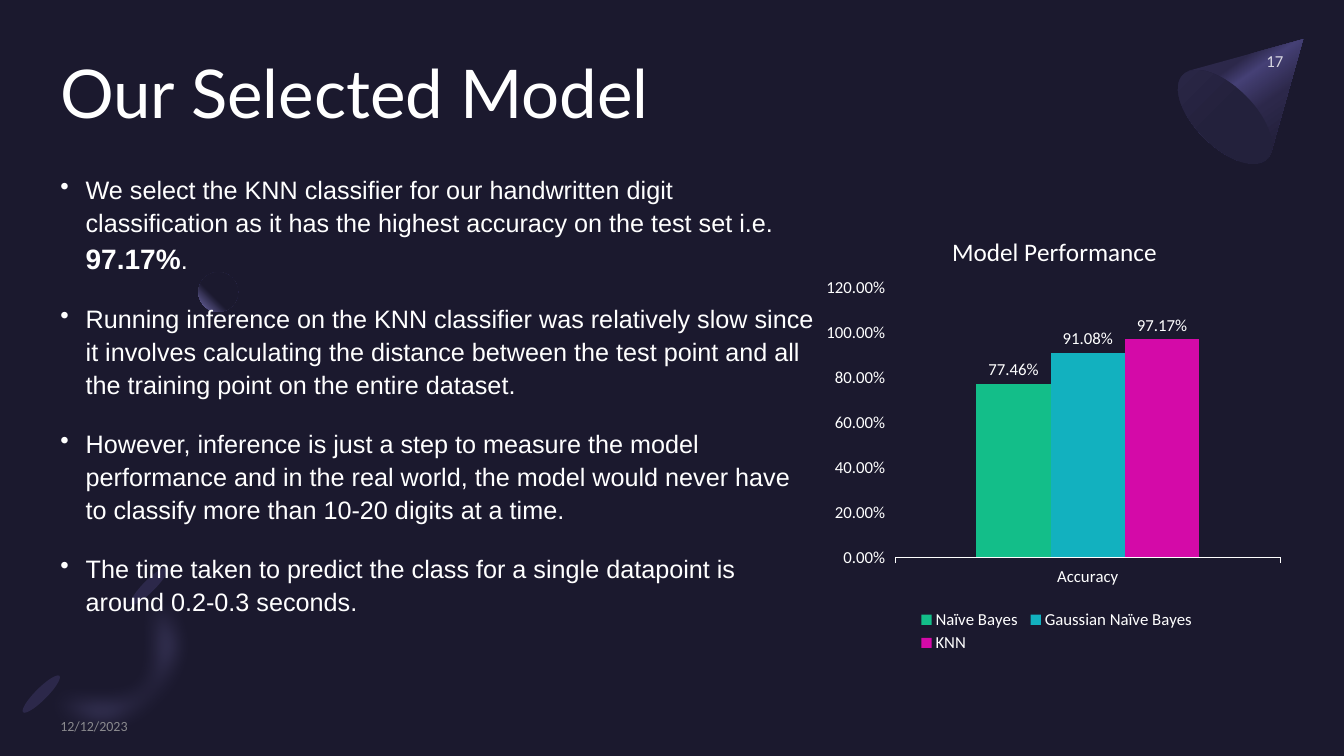
from dataclasses import dataclass

from pptx import Presentation
from pptx import util as u
from pptx.chart.data import CategoryChartData
from pptx.dml.color import RGBColor
from pptx.enum import chart as charts, shapes, text
from pptx.oxml import parse_xml
from pptx.oxml.ns import nsdecls, qn

COLORS = {
    "night": "1B192E", "dusk": "23213C", "plum": "2C284A", "violet": "454075",
    "lavender": "7771B2", "white": "FFFFFF", "grey": "A6A6A6",
    "green": "13BE89", "teal": "12B1BF", "magenta": "D40AA8",
}


@dataclass
class Gradient:
    stops: list[tuple[int, str]]
    shade: str


@dataclass
class Ellipse:
    left: float
    top: float
    width: float
    height: float
    rotation: float
    paint: str | Gradient


@dataclass
class Outline:
    """Points in hundredths of a cm; a segment is one end point or a Bézier's three."""
    start: tuple[int, int]
    segments: list[tuple[tuple[int, int], ...]]
    paint: str | Gradient


@dataclass
class Label:
    words: str
    left: float
    top: float
    width: float
    height: float
    font: str
    size: int
    color: str
    anchor: text.MSO_ANCHOR = text.MSO_ANCHOR.MIDDLE
    align: text.PP_ALIGN = text.PP_ALIGN.LEFT
    opacity: int = 100
    line_spacing: float = 1.0


@dataclass
class Model:
    name: str
    accuracy: float
    color: str


def linear(angle: int) -> str:
    return f'<a:lin ang="{angle * 60000}" scaled="0"/>'


FROM_TOP_RIGHT = '<a:path path="circle"><a:fillToRect l="100000" b="100000"/></a:path>'

RING = Outline((424, 1796), [
    ((526, 1694), (511, 1516), (391, 1400)), ((302, 1491),),
    ((361, 1549), (368, 1638), (318, 1689)),
    ((267, 1740), (178, 1732), (119, 1671)), ((28, 1763),),
    ((147, 1882), (325, 1897), (424, 1796)),
], "lavender")
STREAKS = [Ellipse(3.61, 14.12, 0.3, 1.3, 45, "plum"),
           Ellipse(0.89, 16.84, 0.3, 1.3, 45, "plum")]
CONE = Outline((3284, 99), [
    ((3203, 386),), ((3200, 391), (3198, 396), (3195, 399)),
    ((3165, 429), (3094, 406), (3035, 348)),
    ((2977, 290), (2954, 218), (2982, 188)), ((2997, 178),),
], Gradient([(30, "plum"), (40, "violet"), (60, "plum"), (100, "night")], linear(55)))
CONE_BASE = Ellipse(30.12, 1.45, 1.5, 3, 135,
                    Gradient([(50, "dusk"), (100, "plum")], linear(90)))
SPHERE = Ellipse(5, 6.86, 1, 1, 0,
                 Gradient([(60, "night"), (100, "lavender")], FROM_TOP_RIGHT))

TITLE = Label("Our Selected Model", 1.52, 1.52, 30.84, 3.71, "Lato", 48, "white",
              anchor=text.MSO_ANCHOR.TOP, line_spacing=0.9)
PAGE_NUMBER = Label("17", 27.64, 1.32, 4.7, 0.43, "Calibri", 12, "white",
                    align=text.PP_ALIGN.RIGHT, opacity=80)
DATE = Label("12/12/2023", 1.52, 18.08, 7.32, 0.43, "Calibri", 10, "grey", opacity=80)

HIGHLIGHT = "97.17%"
REASONS = [
    ["We select the KNN classifier for our handwritten digit classification as it has "
     "the highest accuracy on the test set i.e. ", HIGHLIGHT, "."],
    ["Running inference on the KNN classifier was relatively slow since it involves "
     "calculating the distance between the test point and all the training point on "
     "the entire dataset."],
    ["However, inference is just a step to measure the model performance and in the "
     "real world, the model would never have to classify more than 10-20 digits at a "
     "time."],
    ["The time taken to predict the class for a single datapoint is around 0.2-0.3 "
     "seconds."],
]
MODELS = [Model("Naïve Bayes", 0.7746, "green"),
          Model("Gaussian Naïve Bayes", 0.9108, "teal"),
          Model("KNN", 0.9717, "magenta")]


def rgb(name: str) -> RGBColor:
    return RGBColor.from_string(COLORS[name])


def set_opacity(element, percent: int) -> None:
    color = element.find(".//" + qn("a:srgbClr"))
    color.append(parse_xml(f'<a:alpha {nsdecls("a")} val="{percent * 1000}"/>'))


def paint_shape(shape, paint: str | Gradient) -> None:
    shape.shadow.inherit = False
    shape.line.fill.background()
    shape.fill.solid()
    if isinstance(paint, str):
        shape.fill.fore_color.rgb = rgb(paint)
        return
    stops = "".join(f'<a:gs pos="{pos * 1000}"><a:srgbClr val="{COLORS[color]}"/></a:gs>'
                    for pos, color in paint.stops)
    properties = shape._element.spPr
    properties.replace(properties.find(qn("a:solidFill")), parse_xml(
        f'<a:gradFill {nsdecls("a")} rotWithShape="1"><a:gsLst>{stops}</a:gsLst>'
        f"{paint.shade}</a:gradFill>"))


def add_ellipse(slide, ellipse: Ellipse) -> None:
    shape = slide.shapes.add_shape(
        shapes.MSO_SHAPE.OVAL, u.Cm(ellipse.left), u.Cm(ellipse.top),
        u.Cm(ellipse.width), u.Cm(ellipse.height))
    shape.rotation = ellipse.rotation
    paint_shape(shape, ellipse.paint)


def bezier(p0, p1, p2, p3, steps: int = 16) -> list[tuple[float, ...]]:
    return [tuple((1 - t)**3 * a + 3 * (1 - t)**2 * t * b + 3 * (1 - t) * t**2 * c + t**3 * d
                  for a, b, c, d in zip(p0, p1, p2, p3))
            for t in (step / steps for step in range(1, steps + 1))]


def add_outline(slide, outline: Outline):
    points = [outline.start]
    for segment in outline.segments:
        points += bezier(points[-1], *segment) if len(segment) == 3 else segment
    builder = slide.shapes.build_freeform(*outline.start, scale=u.Cm(0.01))
    builder.add_line_segments(points[1:], close=True)
    shape = builder.convert_to_shape()
    paint_shape(shape, outline.paint)
    return shape


def add_frame(slide, left: float, top: float, width: float, height: float):
    """Add a wrapping text box without margins and return its text frame."""
    frame = slide.shapes.add_textbox(
        u.Cm(left), u.Cm(top), u.Cm(width), u.Cm(height)).text_frame
    frame.word_wrap = True
    frame.margin_left = frame.margin_right = frame.margin_top = frame.margin_bottom = 0
    return frame


def style_font(font, name: str, size: int, color: str) -> None:
    font.name, font.size, font.color.rgb = name, u.Pt(size), rgb(color)


def add_label(slide, label: Label) -> None:
    frame = add_frame(slide, label.left, label.top, label.width, label.height)
    frame.vertical_anchor = label.anchor
    line = frame.paragraphs[0]
    line.text, line.alignment, line.line_spacing = label.words, label.align, label.line_spacing
    style_font(line.font, label.font, label.size, label.color)
    if label.opacity < 100:
        set_opacity(line.font._element if hasattr(line.font, "_element") else line.font._rPr,
                    label.opacity)


def add_reasons(slide) -> None:
    frame = add_frame(slide, 1.52, 4.32, 19, 12.22)
    for number, parts in enumerate(REASONS):
        reason = frame.add_paragraph() if number else frame.paragraphs[0]
        reason.line_spacing, reason.space_before, reason.space_after = 1.1, u.Pt(10), u.Pt(8)
        style_font(reason.font, "Arial", 18, "white")
        properties = reason._p.get_or_add_pPr()
        properties.set("marL", str(u.Cm(0.64)))
        properties.set("indent", str(u.Cm(-0.64)))
        bullet = parse_xml(f'<a:buChar {nsdecls("a")} char="•"/>')
        properties.find(qn("a:defRPr")).addprevious(bullet)
        for part in parts:
            run = reason.add_run()
            run.text = part
            if part == HIGHLIGHT:
                run.font.bold, run.font.size = True, u.Pt(20)


def place(element, index: int, **fractions: float) -> None:
    """Give a chart part a manual layout, as fractions of the chart."""
    for old in element.findall(qn("c:layout")):
        element.remove(old)
    target = '<c:layoutTarget val="inner"/>' if index == 0 else ""
    modes = '<c:xMode val="edge"/><c:yMode val="edge"/>'
    sizes = "".join(f'<c:{key} val="{value}"/>' for key, value in fractions.items())
    element.insert(index, parse_xml(f'<c:layout {nsdecls("c")}><c:manualLayout>{target}'
                                    f"{modes}{sizes}</c:manualLayout></c:layout>"))


def add_performance_chart(slide) -> None:
    data = CategoryChartData(number_format="0.00%")
    data.categories = ["Accuracy"]
    for model in MODELS:
        data.add_series(model.name, [model.accuracy])
    chart = slide.shapes.add_chart(
        charts.XL_CHART_TYPE.COLUMN_CLUSTERED, u.Cm(20.52), u.Cm(5.23),
        u.Cm(11.99), u.Cm(11.3), data).chart
    style_font(chart.font, "Calibri", 12, "white")

    heading = chart.chart_title.text_frame.paragraphs[0]
    heading.text = "Model Performance"
    style_font(heading.font, "Calibri", 18, "white")
    heading.font.bold = False
    chart.has_legend = True
    chart.legend.position = charts.XL_LEGEND_POSITION.BOTTOM
    chart.legend.include_in_layout = False

    values, categories = chart.value_axis, chart.category_axis
    values.minimum_scale, values.maximum_scale, values.major_unit = 0, 1.2, 0.2
    values.has_major_gridlines = False
    values.tick_labels.number_format = "0.00%"
    values.tick_labels.number_format_is_linked = False
    values.format.line.fill.background()
    categories.major_tick_mark = charts.XL_TICK_MARK.OUTSIDE
    categories.format.line.color.rgb = rgb("white")
    categories.format.line.width = u.Pt(0.75)

    bars = chart.plots[0]
    bars.gap_width, bars.overlap, bars.vary_by_categories = 219, 0, False
    bars.has_data_labels = True
    labels = bars.data_labels
    labels.show_value = True
    labels.number_format, labels.number_format_is_linked = "0.00%", False
    labels.position = charts.XL_LABEL_POSITION.OUTSIDE_END
    style_font(labels.font, "Calibri", 12, "white")
    for series, model in zip(bars.series, MODELS):
        series.format.fill.solid()
        series.format.fill.fore_color.rgb = rgb(model.color)

    space = chart._chartSpace
    place(space.find(".//" + qn("c:plotArea")), 0, x=0.17, y=0.18, w=0.81, h=0.6)
    place(space.find(".//" + qn("c:title")), 1, x=0.28, y=0.05)
    place(space.find(".//" + qn("c:legend")), 1, x=0.21, y=0.89, w=0.6, h=0.11)


def main() -> None:
    deck = Presentation()
    deck.slide_width, deck.slide_height = u.Cm(33.87), u.Cm(19.05)
    slide = deck.slides.add_slide(deck.slide_layouts[6])
    slide.background.fill.solid()
    slide.background.fill.fore_color.rgb = rgb("night")

    ring = add_outline(slide, RING)._element.spPr
    set_opacity(ring, 40)
    ring.find(qn("a:effectLst")).append(
        parse_xml(f'<a:softEdge {nsdecls("a")} rad="{u.Cm(0.5)}"/>'))
    for streak in STREAKS:
        add_ellipse(slide, streak)
    add_outline(slide, CONE)
    for solid in (CONE_BASE, SPHERE):
        add_ellipse(slide, solid)

    add_label(slide, TITLE)
    add_reasons(slide)
    add_performance_chart(slide)
    for label in (PAGE_NUMBER, DATE):
        add_label(slide, label)
    deck.save("out.pptx")


if __name__ == "__main__":
    main()
